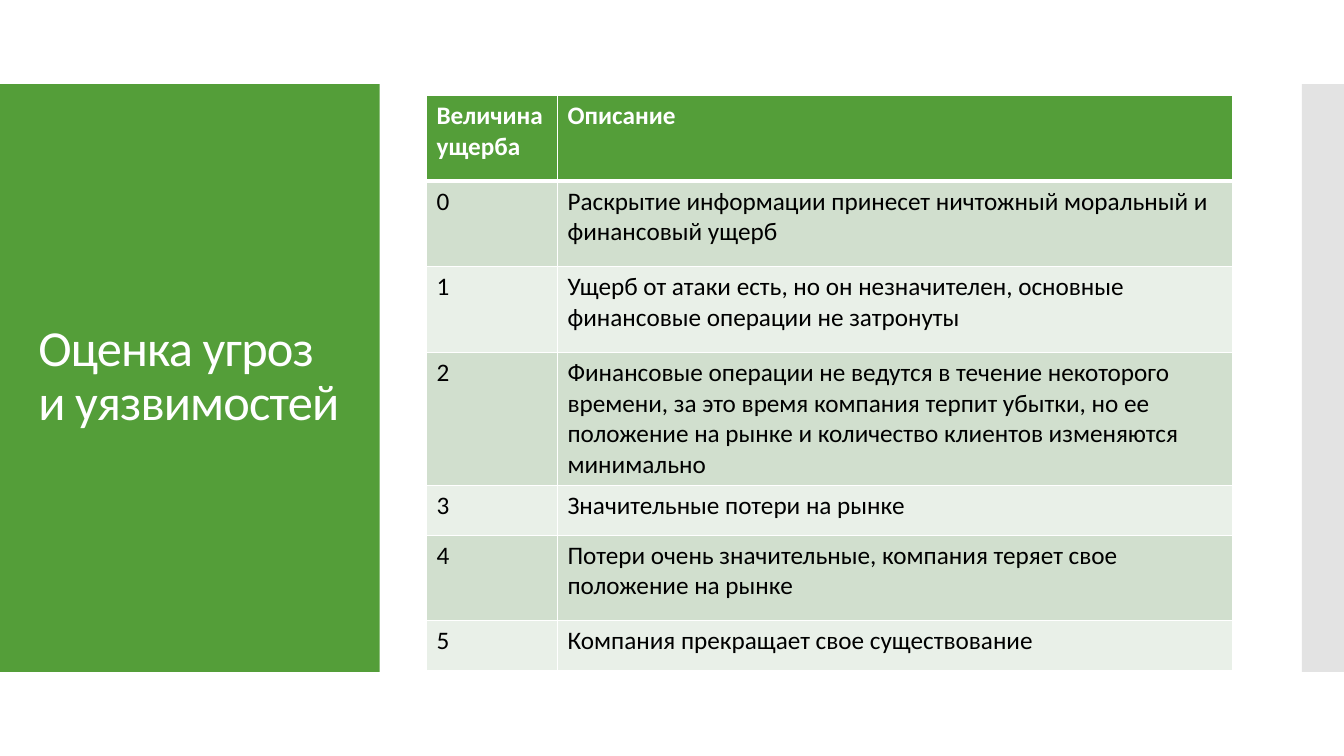
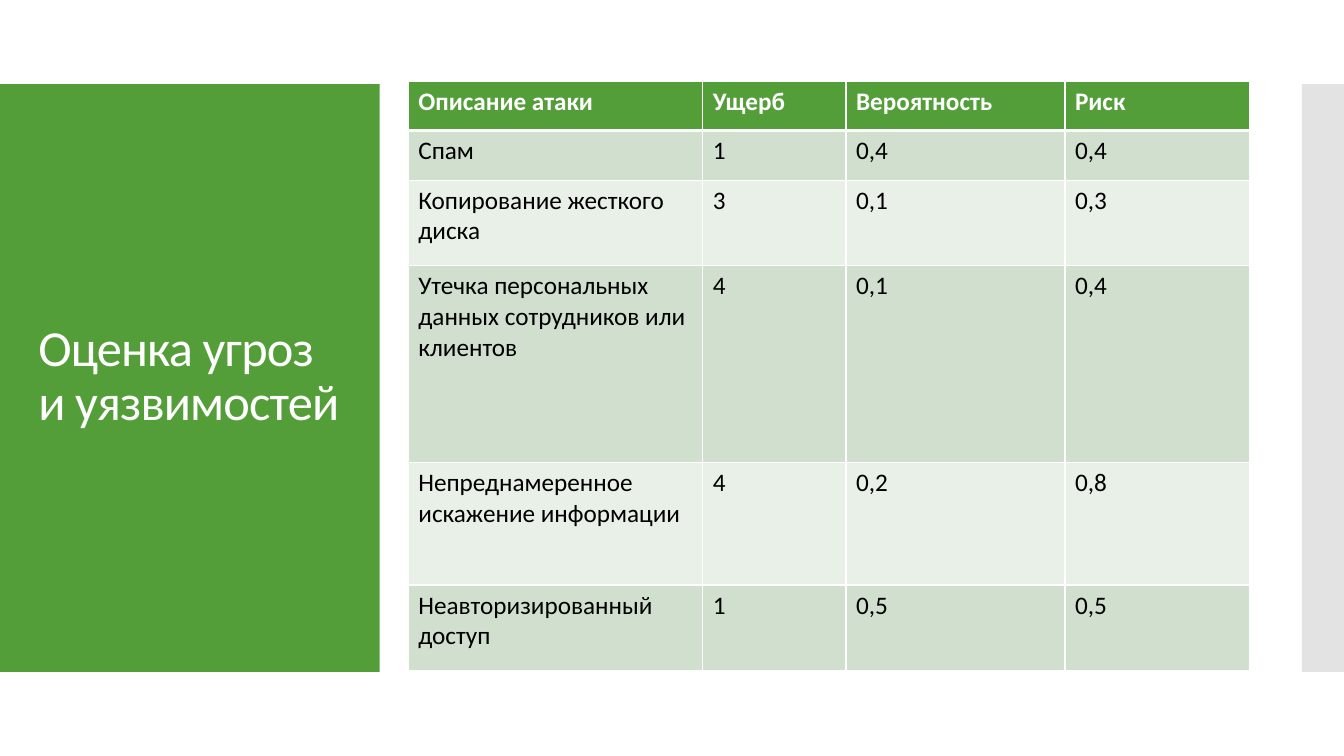
from lxml import etree
from pptx import Presentation
from pptx.dml.color import RGBColor
from pptx.enum.shapes import MSO_SHAPE
from pptx.enum.text import MSO_ANCHOR, MSO_AUTO_SIZE, PP_ALIGN
from pptx.oxml.ns import qn
from pptx.util import Cm, Pt

RECTANGLE = MSO_SHAPE.RECTANGLE
MIDDLE = MSO_ANCHOR.MIDDLE
LEFT = PP_ALIGN.LEFT
NO_AUTOFIT = MSO_AUTO_SIZE.NONE

GREEN = RGBColor(0x54, 0x9E, 0x39)
GRAY = RGBColor(0xC8, 0xC8, 0xC8)
WHITE = RGBColor(0xFF, 0xFF, 0xFF)
BLACK = RGBColor(0, 0, 0)
ROW_COLORS = (RGBColor(0xD1, 0xDF, 0xCE), RGBColor(0xE9, 0xF0, 0xE8))

FONT = "Calibri"
TITLE = "Оценка угроз и уязвимостей"
SLIDE_W, SLIDE_H = 33.87, 19.05
BAND_TOP, BAND_H = 2.12, 14.81
SIDE_W, EDGE_W = 9.57, 1.06
THIN, THICK = Pt(1), Pt(3)

# Row heights by number of text lines
ONE_LINE, TWO_LINES, FOUR_LINES = 1.25, 2.16, 3.35

DAMAGE_SCALE = [
    ("Величина ущерба", "Описание"),
    ("0", "Раскрытие информации принесет ничтожный моральный и финансовый ущерб"),
    ("1", "Ущерб от атаки есть, но он незначителен, основные финансовые операции "
          "не затронуты"),
    ("2", "Финансовые операции не ведутся в течение некоторого времени, за это время "
          "компания терпит убытки, но ее положение на рынке и количество клиентов "
          "изменяются минимально"),
    ("3", "Значительные потери на рынке"),
    ("4", "Потери очень значительные, компания теряет свое положение на рынке"),
    ("5", "Компания прекращает свое существование"),
]
ATTACK_RISKS = [
    ("Описание атаки", "Ущерб", "Вероятность", "Риск"),
    ("Спам", "1", "0,4", "0,4"),
    ("Копирование жесткого диска", "3", "0,1", "0,3"),
    ("Утечка персональных данных сотрудников или клиентов", "4", "0,1", "0,4"),
    ("Непреднамеренное искажение информации", "4", "0,2", "0,8"),
    ("Неавторизированный доступ", "1", "0,5", "0,5"),
]


def write_text(frame, text, size=18, color=BLACK, bold=False, line_spacing=1.0,
               tracking=None):
    paragraph = frame.paragraphs[0]
    paragraph.alignment = LEFT
    paragraph.line_spacing = line_spacing
    run = paragraph.add_run()
    run.text = text
    font = run.font
    font.name, font.size, font.bold = FONT, Pt(size), bold
    font.color.rgb = color
    if tracking is not None:
        run.font._element.set("spc", str(round(tracking * 100)))


def add_band(slide, layout, left, width, color, opacity=None):
    """Draw a side band and move it to the layout, behind its placeholders."""
    band = slide.shapes.add_shape(RECTANGLE, Cm(left), Cm(BAND_TOP), Cm(width), Cm(BAND_H))
    band.shadow.inherit = False
    band.line.fill.background()
    band.fill.solid()
    band.fill.fore_color.rgb = color
    if opacity is not None:
        shade = band.element.spPr.find(f"{qn('a:solidFill')}/{qn('a:srgbClr')}")
        etree.SubElement(shade, qn("a:alpha"), val=str(opacity * 1000))
    layout.shapes.element.insert(2, band.element)


def set_up_layout(layout, slide):
    add_band(slide, layout, 0, SIDE_W, GREEN)
    add_band(slide, layout, SLIDE_W - EDGE_W, EDGE_W, GRAY, opacity=50)
    title = layout.placeholders[0]
    title.left, title.top = Cm(0.71), Cm(3.12)
    title.width, title.height = Cm(8.18), Cm(12.78)
    title.text_frame.vertical_anchor = MIDDLE
    title.text_frame.auto_size = NO_AUTOFIT


def set_borders(cell, top, bottom):
    properties = cell._tc.get_or_add_tcPr()
    for side, width in (("L", THIN), ("R", THIN), ("T", top), ("B", bottom)):
        line = etree.SubElement(properties, qn(f"a:ln{side}"), w=str(width))
        fill = etree.SubElement(line, qn("a:solidFill"))
        etree.SubElement(fill, qn("a:srgbClr"), val=str(WHITE))


def add_banded_table(slide, rows, left, top, col_widths, row_heights):
    table = slide.shapes.add_table(
        len(rows), len(col_widths), Cm(left), Cm(top),
        Cm(sum(col_widths)), Cm(sum(row_heights))).table
    for column, width in zip(table.columns, col_widths):
        column.width = Cm(width)
    for i, (values, height) in enumerate(zip(rows, row_heights)):
        table.rows[i].height = Cm(height)
        header = i == 0
        for cell, value in zip(table.rows[i].cells, values):
            set_borders(cell, top=THICK if i == 1 else THIN,
                        bottom=THICK if header else THIN)
            cell.fill.solid()
            cell.fill.fore_color.rgb = GREEN if header else ROW_COLORS[(i - 1) % 2]
            write_text(cell.text_frame, value, bold=header,
                       color=WHITE if header else BLACK)


def add_titled_slide(deck, layout):
    slide = deck.slides.add_slide(layout)
    write_text(slide.shapes.title.text_frame, TITLE, size=36, color=WHITE,
               line_spacing=0.9, tracking=-0.6)
    return slide


def main():
    deck = Presentation()
    deck.slide_width, deck.slide_height = Cm(SLIDE_W), Cm(SLIDE_H)
    layout = deck.slide_layouts.get_by_name("Title Only")

    damage_slide = add_titled_slide(deck, layout)
    set_up_layout(layout, damage_slide)
    add_banded_table(
        damage_slide, DAMAGE_SCALE, 10.75, 2.4, (3.3, 17.02),
        (TWO_LINES, TWO_LINES, TWO_LINES, FOUR_LINES, ONE_LINE, TWO_LINES, ONE_LINE))

    risk_slide = add_titled_slide(deck, layout)
    add_banded_table(
        risk_slide, ATTACK_RISKS, 10.29, 2.04, (7.42, 3.61, 5.52, 4.65),
        (ONE_LINE, ONE_LINE, TWO_LINES, 4.95, 3.09, TWO_LINES))

    deck.save("out.pptx")


if __name__ == "__main__":
    main()
